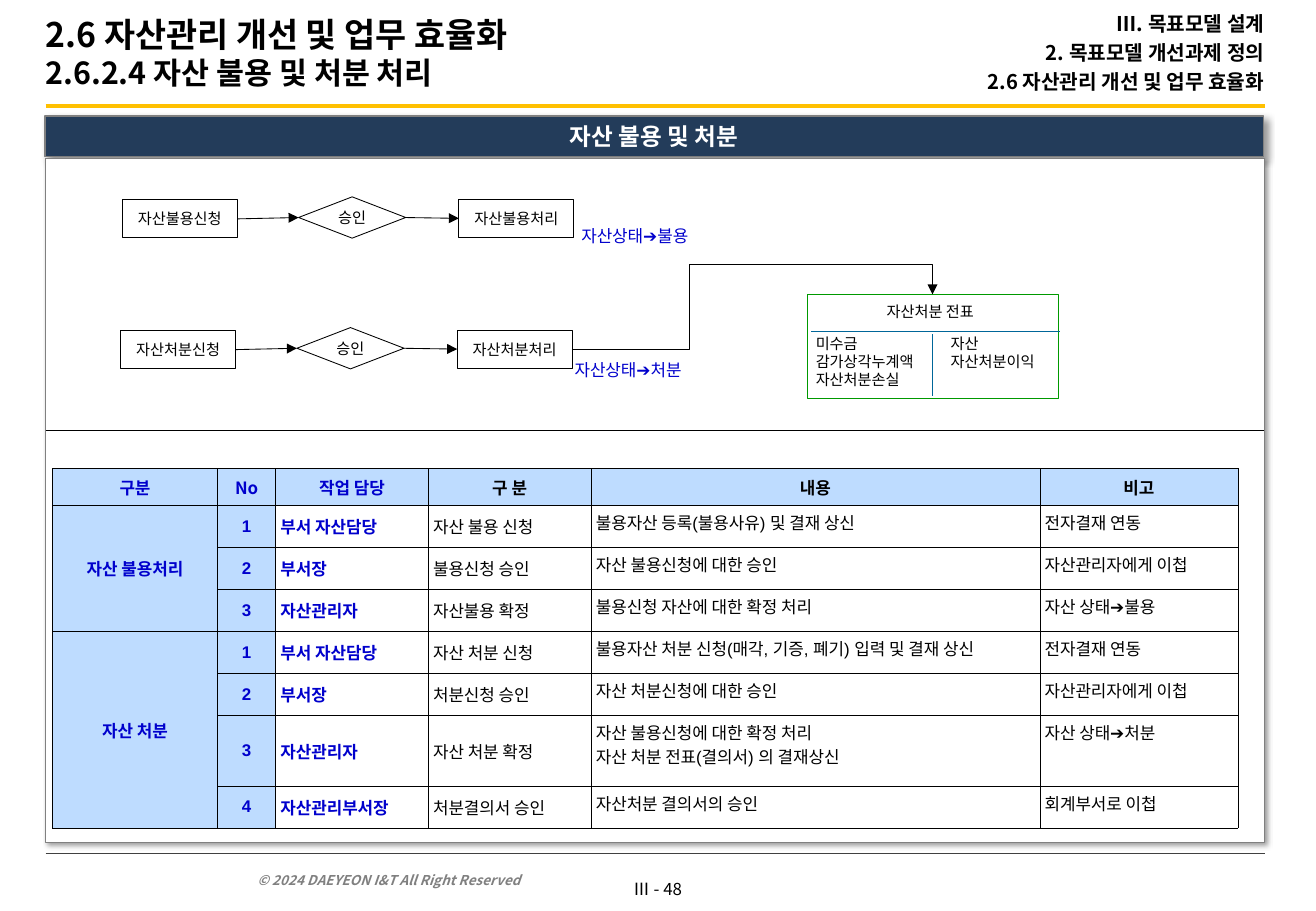
from lxml.etree import SubElement as Sub
from pptx import Presentation
from pptx.dml.color import RGBColor as RGB
from pptx.enum.shapes import MSO_CONNECTOR as Link, MSO_SHAPE as Form
from pptx.enum.text import MSO_ANCHOR as Anchor, MSO_AUTO_SIZE as Auto, PP_ALIGN as Align
from pptx.oxml.ns import qn
from pptx.util import Pt

HUES = {"black": "000000", "white": "FFFFFF", "navy": "233C5A", "gray": "808080",
        "dark": "404040", "gold": "FFC000", "blue": "0000CC", "pale": "BEDCFF",
        "green": "009900", "teal": "006699"}
NOTO = "Noto Sans CJK KR"
SIDES = {"l": Align.LEFT, "c": Align.CENTER, "r": Align.RIGHT}

HEAD = ["구분", "No", "작업 담당", "구 분", "내용", "비고"]
TASKS = [
    ("자산 불용처리", [
        ("부서 자산담당", "자산 불용 신청", "불용자산 등록(불용사유) 및 결재 상신", "전자결재 연동"),
        ("부서장", "불용신청 승인", "자산 불용신청에 대한 승인", "자산관리자에게 이첩"),
        ("자산관리자", "자산불용 확정", "불용신청 자산에 대한 확정 처리", "자산 상태➔불용")]),
    ("자산 처분", [
        ("부서 자산담당", "자산 처분 신청",
         "불용자산 처분 신청(매각, 기증, 폐기) 입력 및 결재 상신", "전자결재 연동"),
        ("부서장", "처분신청 승인", "자산 처분신청에 대한 승인", "자산관리자에게 이첩"),
        ("자산관리자", "자산 처분 확정",
         "자산 불용신청에 대한 확정 처리\n자산 처분 전표(결의서) 의 결재상신", "자산 상태➔처분"),
        ("자산관리부서장", "처분결의서 승인", "자산처분 결의서의 승인", "회계부서로 이첩")])]


class Page:
    def __init__(self, deck):
        self.slide = deck.slides.add_slide(deck.slide_layouts[5])
        self.shapes = self.slide.shapes

    def style(self, run, size, hue="black", bold=False, font=NOTO, slant=False):
        face = run.font
        face.size, face.name, face.bold, face.italic = Pt(size), font, bold, slant
        face.color.rgb = RGB.from_string(HUES[hue])
        Sub(face._element, qn("a:ea")).set("typeface", NOTO)

    def fill_text(self, frame, text, size, side="l", pads=(0, 0, 0, 0),
                  anchor=Anchor.TOP, gap=0, **look):
        frame.text = text
        frame.word_wrap = True
        frame.auto_size = Auto.NONE
        frame.vertical_anchor = anchor
        (frame.margin_left, frame.margin_top,
         frame.margin_right, frame.margin_bottom) = map(Pt, pads)
        for i, para in enumerate(frame.paragraphs):
            para.alignment = SIDES[side]
            if gap and i:
                para.space_before = Pt(gap)
            for run in para.runs:
                self.style(run, size, **look)

    def title(self, text, sizes, *area):
        item = self.shapes.title
        item.left, item.top, item.width, item.height = map(Pt, area)
        self.fill_text(item.text_frame, text, sizes[0], pads=(0, 3.6, 7.2, 3.6),
                       anchor=Anchor.MIDDLE, bold=True)
        for run, size in zip(item.text_frame.paragraphs[0].runs, sizes):
            run.font.size = Pt(size)

    def text(self, area, text, size, **look):
        item = self.shapes.add_textbox(*map(Pt, area))
        self.fill_text(item.text_frame, text, size, **look)

    def box(self, form, area, fill="white", edge="black", width=0.5, cast=None):
        item = self.shapes.add_shape(form, *map(Pt, area))
        item.shadow.inherit = False
        item.fill.solid()
        item.fill.fore_color.rgb = RGB.from_string(HUES[fill])
        item.line.color.rgb = RGB.from_string(HUES[edge])
        item.line.width = Pt(width)
        if cast:
            blur, dist = cast
            glow = Sub(item._element.spPr.find(qn("a:effectLst")), qn("a:outerShdw"),
                       blurRad=str(Pt(blur)), dist=str(Pt(dist)), dir="2700000",
                       algn="tl", rotWithShape="0")
            tint = Sub(glow, qn("a:srgbClr"), val=HUES["black"])
            Sub(tint, qn("a:alpha"), val="40000")
        return item

    def step(self, form, area, text):
        item = self.box(form, area)
        self.fill_text(item.text_frame, text, 9, side="c", pads=(2.9,) * 4,
                       anchor=Anchor.MIDDLE)
        return item

    def line(self, ends, hue="black", width=0.5, kind=Link.STRAIGHT, tip=False):
        item = self.shapes.add_connector(kind, *map(Pt, ends))
        item.line.color.rgb = RGB.from_string(HUES[hue])
        item.line.width = Pt(width)
        if tip:
            Sub(item.line._get_or_add_ln(), qn("a:tailEnd"), type="triangle")
        Sub(item._element.spPr, qn("a:effectLst"))
        return item

    def join(self, start, end, site=1, kind=Link.STRAIGHT):
        item = self.line((0, 0, 0, 0), kind=kind, tip=True)
        item.begin_connect(start, 3)
        item.end_connect(end, site)
        return item

    def bend(self, start, end, **turns):
        item = self.join(start, end, 0, Link.ELBOW)
        geom = item._element.spPr.find(qn("a:prstGeom"))
        geom.set("prst", "bentConnector4")
        for old in list(geom):
            geom.remove(old)
        guides = Sub(geom, qn("a:avLst"))
        for name, value in turns.items():
            Sub(guides, qn("a:gd"), name=name, fmla=f"val {value}")

    def cell(self, cell, text, fill=None, pad=0, anchor=Anchor.MIDDLE, **look):
        self.fill_cell(cell, fill)
        self.fill_text(cell.text_frame, text, 10, **look)
        cell.text_frame.auto_size = None
        cell.vertical_anchor = anchor
        cell.margin_left = cell.margin_right = Pt(2.9)
        cell.margin_top = cell.margin_bottom = Pt(pad)

    def fill_cell(self, cell, fill):
        if fill:
            cell.fill.solid()
            cell.fill.fore_color.rgb = RGB.from_string(HUES[fill])
        else:
            cell.fill.background()
        props = cell._tc.get_or_add_tcPr()
        for i, side in enumerate("LRTB"):
            edge = Sub(props, qn(f"a:ln{side}"), w=str(Pt(0.25)))
            Sub(Sub(edge, qn("a:solidFill")), qn("a:srgbClr"), val=HUES["black"])
            props.insert(i, edge)

    def table(self, left, top, cols, rows):
        grid = self.shapes.add_table(len(rows), len(cols), Pt(left), Pt(top),
                                     Pt(sum(cols)), Pt(sum(rows))).table
        grid.first_row = grid.horz_banding = False
        for col, width in zip(grid.columns, cols):
            col.width = Pt(width)
        for row, height in zip(grid.rows, rows):
            row.height = Pt(height)
        for c, text in enumerate(HEAD):
            self.cell(grid.cell(0, c), text, "pale", side="c", bold=True,
                      hue="blue" if c < 3 else "black")
        key = {"bold": True, "hue": "blue", "font": "Arial"}
        r = 1
        for group, tasks in TASKS:
            for n, (owner, task, note, memo) in enumerate(tasks):
                self.cell(grid.cell(r + n, 0), "" if n else group, "pale", side="c", **key)
                self.cell(grid.cell(r + n, 1), str(n + 1), "pale", side="c", **key)
                self.cell(grid.cell(r + n, 2), owner, **key)
                self.cell(grid.cell(r + n, 3), task, pad=2.9, font="Arial")
                for c, text in ((4, note), (5, memo)):
                    self.cell(grid.cell(r + n, c), text, pad=2.9, anchor=Anchor.TOP,
                              font="Arial")
            grid.cell(r, 0).merge(grid.cell(r + len(tasks) - 1, 0))
            r += len(tasks)


def main():
    deck = Presentation()
    deck.slide_width, deck.slide_height = Pt(780), Pt(540)
    page = Page(deck)
    page.line((27, 62.7, 750, 62.7), "gold", 2.5)
    page.line((27, 506, 750, 506), "dark")
    page.text((368.5, 517, 42.5, 19.5), "Ⅲ - 48", 10, side="c", pads=(4.3, 3.6, 4.3, 3.6))
    page.text((145.5, 510.5, 217.5, 19.5), "© 2024 DAEYEON I&T All Right Reserved", 8,
              pads=(7.2, 3.6, 7.2, 3.6), anchor=Anchor.BOTTOM, hue="gray",
              bold=True, slant=True)
    page.title("2.6 자산관리 개선 및 업무 효율화\v2.6.2.4 자산 불용 및 처분 처리",
               (20, 18), 27, 0, 590, 61.5)
    page.text((494.5, 0, 255, 62), "Ⅲ. 목표모델 설계\n2. 목표모델 개선과제 정의\n"
              "2.6 자산관리 개선 및 업무 효율화", 12, side="r", pads=(0, 3.6, 0, 3.6),
              anchor=Anchor.MIDDLE, gap=2.9, bold=True)
    band = page.box(Form.RECTANGLE, (26.5, 68.8, 722.5, 24), "navy", "gray", 1, (4, 3))
    page.fill_text(band.text_frame, "자산 불용 및 처분", 14, side="c", pads=(5.8,) * 4,
                   anchor=Anchor.MIDDLE, hue="white", bold=True)
    page.box(Form.RECTANGLE, (27, 94, 722.5, 405.5), edge="gray", cast=(3, 2))
    page.line((27, 255.3, 749.5, 255.3))

    for left, top, state in ((72.5, 118.5, "불용"), (71.5, 196, "처분")):
        ask = page.step(Form.FLOWCHART_PROCESS, (left, top, 68, 22.5), f"자산{state}신청")
        gate = page.step(Form.DIAMOND, (left + 104.5, top - 1.8, 63.5, 24.5), "승인")
        act = page.step(Form.FLOWCHART_PROCESS, (left + 199.5, top - 0.3, 68, 22.5),
                        f"자산{state}처리")
        page.join(ask, gate)
        page.join(gate, act)
    for left, top, state in ((337.5, 130.5, "불용"), (333.5, 209.5, "처분")):
        page.text((left, top, 85.5, 19.5), f"자산상태➔{state}", 10,
                  pads=(7.2, 3.6, 7.2, 3.6), hue="blue")

    slip = page.box(Form.RECTANGLE, (478.5, 174.5, 148.5, 61.5), edge="green", width=0.3)
    page.bend(act, slip, adj1=32700, adj2=155000)
    page.line((481, 196.5, 628, 196.5), "teal", 0.3)
    page.line((552.5, 198, 552.5, 235), "teal", 0.3)
    for area, text in (((525.5, 179, 58, 11), "자산처분 전표"),
                       ((483.5, 198, 68, 32.5), "미수금\n감가상각누계액\n자산처분손실"),
                       ((563.5, 198, 55, 21.5), "자산\n자산처분이익")):
        page.text(area, text, 9, font="Arial")

    page.table(31, 277.6, (98, 34.3, 90.5, 96.5, 266, 117.5),
               (22, 24.9, 24.9, 24.9, 24.9, 24.9, 42, 24.9))
    deck.save("out.pptx")


if __name__ == "__main__":
    main()
